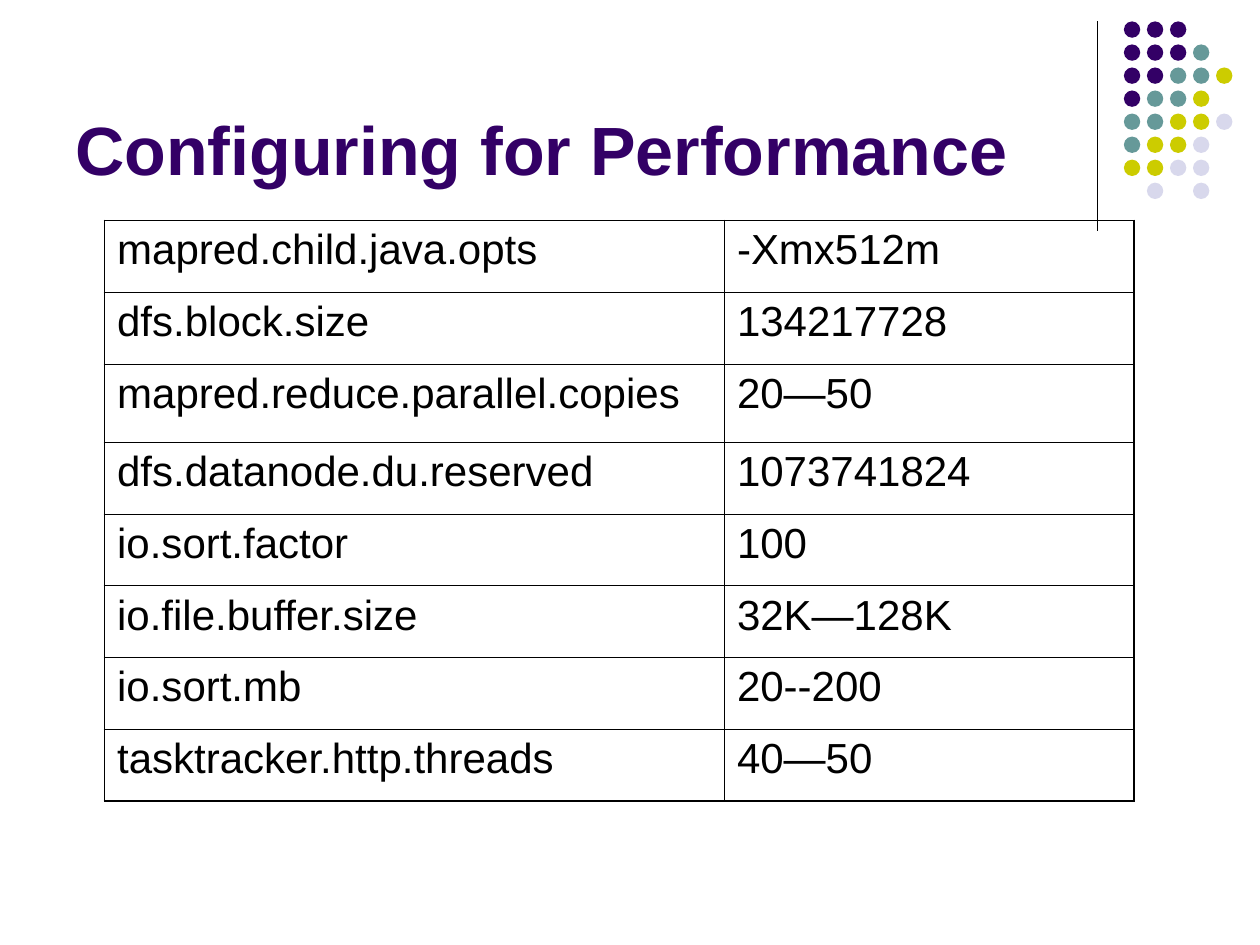
import pptx
import pptx.dml.color
import pptx.enum.shapes
import pptx.enum.text
import pptx.oxml
import pptx.oxml.ns
import pptx.util

Inches = pptx.util.Inches
Pt = pptx.util.Pt
Shape = pptx.enum.shapes.MSO_SHAPE


class Theme:
    font = "Arial"
    title = Pt(39)
    body = Pt(24)
    thick = Pt(1.08)
    thin = Pt(0.45)
    rule = Pt(0.75)
    black = "000000"
    purple = "330066"
    dots = {"P": purple, "T": "669999", "Y": "CCCC00", "L": "D8D8EC"}


def style(para, size, color, bold=False):
    para.font.name = Theme.font
    para.font.size = size
    para.font.bold = bold
    para.font.color.rgb = pptx.dml.color.RGBColor.from_string(color)


def border(cell, widths):
    props = cell._tc.get_or_add_tcPr()
    for place, (side, width) in enumerate(zip("LRTB", widths)):
        line = pptx.oxml.parse_xml(
            f'<a:ln{side} {pptx.oxml.ns.nsdecls("a")} w="{int(width)}">'
            f'<a:solidFill><a:srgbClr val="{Theme.black}"/></a:solidFill>'
            f"</a:ln{side}>"
        )
        props.insert(place, line)


deck = pptx.Presentation()
deck.slide_width = Inches(10)
deck.slide_height = Inches(7.5)
slide = deck.slides.add_slide(deck.slide_layouts[6])
shapes = slide.shapes

rule = shapes.add_connector(
    pptx.enum.shapes.MSO_CONNECTOR.STRAIGHT,
    Inches(8.71), Inches(0.17), Inches(8.71), Inches(1.83),
)
rule.line.width = Theme.rule
rule.line.color.rgb = pptx.dml.color.RGBColor.from_string(Theme.black)
rule._element.spPr.append(
    pptx.oxml.parse_xml(f'<a:effectLst {pptx.oxml.ns.nsdecls("a")}/>')
)

dots = ["PPP", "PPPT", "PPTTY", "PTTY", "TTYYL", "TYYL", "YYLL", " L L"]
step = Inches(1.28) / 7
size = Inches(0.13)
for row, marks in enumerate(dots):
    for col, mark in enumerate(marks):
        if mark == " ":
            continue
        left = Inches(8.92) + round(col * step)
        top = Inches(0.17) + round(row * step)
        dot = shapes.add_shape(Shape.OVAL, left, top, size, size)
        dot.shadow.inherit = False
        dot.fill.solid()
        dot.fill.fore_color.rgb = pptx.dml.color.RGBColor.from_string(Theme.dots[mark])
        dot.line.fill.background()

title = shapes.add_textbox(Inches(0.5), Inches(0.3), Inches(9), Inches(1.25))
frame = title.text_frame
frame.word_wrap = True
frame.vertical_anchor = pptx.enum.text.MSO_ANCHOR.BOTTOM
frame.text = "Configuring for Performance"
style(frame.paragraphs[0], Theme.title, Theme.purple, bold=True)

values = [
    ("mapred.child.java.opts", "-Xmx512m"),
    ("dfs.block.size", "134217728"),
    ("mapred.reduce.parallel.copies", "20—50"),
    ("dfs.datanode.du.reserved", "1073741824"),
    ("io.sort.factor", "100"),
    ("io.file.buffer.size", "32K—128K"),
    ("io.sort.mb", "20--200"),
    ("tasktracker.http.threads", "40—50"),
]
last = len(values) - 1
table = shapes.add_table(
    len(values), 2, Inches(0.83), Inches(1.75), Inches(8.17), Inches(4.62)
).table
table.first_row = False
table.horz_banding = False
table.columns[0].width = Inches(4.92)
table.columns[1].width = Inches(3.25)

for row, pair in enumerate(values):
    table.rows[row].height = Inches(0.62 if row == 2 else 0.57)
    for col, text in enumerate(pair):
        cell = table.cell(row, col)
        cell.text = text
        cell.fill.background()
        para = cell.text_frame.paragraphs[0]
        para.space_before = Pt(6)
        style(para, Theme.body, Theme.black)
        edges = (col == 0, col == 1, row == 0, row == last)
        border(cell, [Theme.thick if edge else Theme.thin for edge in edges])

deck.save("out.pptx")
